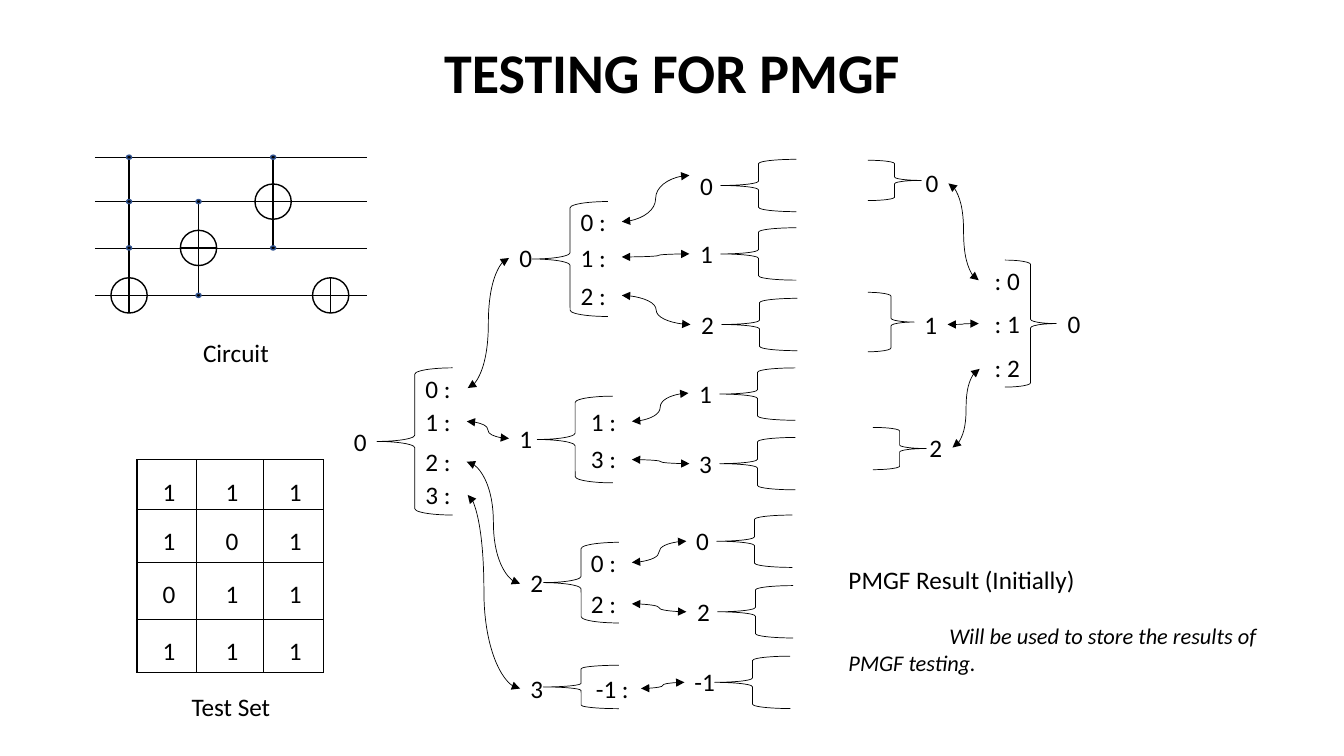
from pptx import Presentation
from pptx.util import Pt
from pptx.dml.color import RGBColor
from pptx.enum.shapes import MSO_SHAPE, MSO_CONNECTOR
from pptx.enum.text import PP_ALIGN
from pptx.oxml import parse_xml
from pptx.oxml.ns import nsdecls
from lxml.etree import SubElement

COLORS = {"ink": "000000", "paper": "FFFFFF", "dot": "325491"}
INK = RGBColor.from_string(COLORS["ink"])
PAPER = RGBColor.from_string(COLORS["paper"])
A = "{http://schemas.openxmlformats.org/drawingml/2006/main}"

prs = Presentation()
prs.slide_width, prs.slide_height = Pt(960), Pt(540)
slide = prs.slides.add_slide(prs.slide_layouts[6])
shapes = slide.shapes


def label(x, y, w, h, text, size=18, wrap=False, align=PP_ALIGN.CENTER):
    frame = shapes.add_textbox(Pt(x), Pt(y), Pt(w), Pt(h)).text_frame
    frame.word_wrap = wrap
    frame.text = text
    for para in frame.paragraphs:
        para.alignment = align
        for run in para.runs:
            run.font.name = "Calibri"
            run.font.size = Pt(size)
            run.font.color.rgb = INK
    return frame


def line(kind, x1, y1, x2, y2, width=0.5):
    link = shapes.add_connector(kind, Pt(x1), Pt(y1), Pt(x2), Pt(y2))
    link.line.color.rgb = INK
    link.line.width = Pt(width)
    SubElement(link._element.spPr, A + "effectLst")
    return link


title = label(183.6, 23.4, 592.6, 55.4, "TESTING FOR PMGF", 40, True)
title.paragraphs[0].runs[0].font.bold = True

LEFT, RIGHT = MSO_SHAPE.LEFT_BRACE, MSO_SHAPE.RIGHT_BRACE
nodes = [
    (LEFT, 269.3, 262.8, 54, 105.1, 245.5, 301, "0", 296.6,
     {"0 : ": 262.8, "1 : ": 286.6, "2 : ": 315.4, "3 : ": 339.1}),
    (LEFT, 380.2, 144, 54, 82.1, 363.6, 169.9, "0", 407.5,
     {"0 : ": 144, "1 : ": 169.2, "2 : ": 196.6}),
    (LEFT, 383.8, 283, 54, 61.9, 363.6, 298.8, "1", 414.7,
     {"1 : ": 286.6, "3 : ": 313.2}),
    (LEFT, 388.1, 387.4, 54, 57.6, 371.5, 401.8, "2", 414.7,
     {"0 : ": 387.4, "2 : ": 416.9}),
    (LEFT, 388.1, 475.2, 54, 31, 371.5, 477.4, "3", 415.4, {"-1 : ": 477.4}),
    (RIGHT, 717.8, 185.8, 36.7, 90.7, 755.3, 216.7, "0", 699.1,
     {" : 0": 185.8, " : 1": 216.7, " : 2": 248.4}),
    (RIGHT, 619.9, 114.5, 38.2, 28.8, 653.8, 115.9, "0", 0, {}),
    (RIGHT, 619.9, 208.8, 33.1, 42.5, 653, 217.4, "1", 0, {}),
    (RIGHT, 623.5, 305.3, 38.2, 30.2, 656.6, 305.3, "2", 0, {}),
]
leaves = [
    (514.8, 113.8, "0"), (514.8, 162.7, "1"), (515.5, 213.1, "2"),
    (514.1, 262.8, "1"), (514.1, 312.5, "3"), (511.9, 367.9, "0"),
    (512.6, 418.3, "2"), (510.5, 468.7, "-1"),
]
for x, y, text in leaves:
    nodes.append((LEFT, x, y, 54, 37.4, x - 22, y + 4, text, 0, {}))

for side, x, y, w, h, rx, ry, root, bx, kids in nodes:
    brace = shapes.add_shape(side, Pt(x), Pt(y), Pt(w), Pt(h))
    brace.shadow.inherit = False
    brace.fill.background()
    brace.line.color.rgb = INK
    brace.line.width = Pt(0.5)
    label(rx, ry, 29.5 if root == "-1" else 23.8, 28.8, root)
    for text, ky in kids.items():
        label(bx, ky, 48 if text == "-1 : " else 36.7, 28.8, text)

curves = [
    (334.1, 277.2, 363.6, 184.3, 50), (333.4, 301, 363.6, 313.2, 50),
    (333.4, 329.8, 371.5, 416.9, 50), (334.1, 353.5, 371.5, 491.8, 31),
    (444.2, 158.4, 492.5, 125.3, 50), (444.2, 183.6, 492.5, 181.4, 54.1),
    (444.2, 211, 493.2, 231.8, 50), (451.4, 301, 491.8, 280.8, 50),
    (451.4, 328.3, 492.5, 331.2, 50), (451.4, 401.8, 490.3, 386.6, 50),
    (451.4, 431.3, 490.3, 437, 50), (457.9, 491.8, 488.9, 487.4, 50),
    (677.5, 131, 699.1, 200.2, 50), (676.8, 231.8, 699.1, 231.1, 50),
    (680.4, 319.7, 699.8, 263.5, 50),
]
for x1, y1, x2, y2, bend in curves:
    link = line(MSO_CONNECTOR.CURVE, x1, y1, x2, y2)
    stroke = link.line._get_or_add_ln()
    for end in ("headEnd", "tailEnd"):
        SubElement(stroke, A + end, type="triangle")
    guides = link._element.spPr.prstGeom.get_or_add_avLst()
    SubElement(guides, A + "gd", name="adj1", fmla=f"val {round(bend * 1000)}")

note = label(599, 399.6, 352.1, 87.1,
             "PMGF Result (Initially)\nWill be used to store the results of \vPMGF testing.",
             18, True, PP_ALIGN.LEFT)
store = note.paragraphs[1]
store.space_before = Pt(19.5)
store._p.get_or_add_pPr().set("indent", str(Pt(72)))
for run in store.runs:
    run.font.size = Pt(16)
    run.font.italic = True

label(115.2, 237.6, 106.6, 25.9, "Circuit", wrap=True)
wires = [112.3, 144, 177.1, 211]
for y in wires:
    line(MSO_CONNECTOR.STRAIGHT, 67.7, y, 262.1, y)

gates = [(92.2, 3, [0, 1, 2]), (141.8, 2, [1, 3]), (195.1, 1, [0, 2]), (236.2, 3, [])]
for x, goal, taps in gates:
    parts = [(MSO_SHAPE.FLOWCHART_OR, goal, 25.9, 25.2)]
    parts += [(MSO_SHAPE.OVAL, tap, 3.6, 2.9) for tap in taps]
    if taps:
        ends = taps + [goal]
        line(MSO_CONNECTOR.STRAIGHT, x, wires[max(ends)], x, wires[min(ends)], 1)
    for kind, row, w, h in parts:
        part = shapes.add_shape(kind, Pt(x - w / 2), Pt(wires[row] - h / 2), Pt(w), Pt(h))
        part.shadow.inherit = False
        part.line.width = Pt(1)
        if kind == MSO_SHAPE.OVAL:
            part.fill.solid()
            part.fill.fore_color.rgb = INK
            part.line.color.rgb = RGBColor.from_string(COLORS["dot"])
        else:
            part.fill.background()
            part.line.color.rgb = INK

tests = ["111", "101", "011", "111"]
widths, heights = [42.5, 47.5, 43.2], [35.3, 38.2, 40.3, 38.1]
table = shapes.add_table(4, 3, Pt(97.9), Pt(328.3), Pt(sum(widths)), Pt(sum(heights))).table
table.first_row = table.horz_banding = False
for col, w in zip(table.columns, widths):
    col.width = Pt(w)
for r, bits in enumerate(tests):
    table.rows[r].height = Pt(heights[r])
    for c, bit in enumerate(bits):
        cell = table.cell(r, c)
        cell.text = bit
        cell.margin_top, cell.margin_bottom = Pt(12.5), Pt(0)
        cell.margin_left, cell.margin_right = Pt(9), Pt(6)
        para = cell.text_frame.paragraphs[0]
        para.alignment = PP_ALIGN.CENTER
        font = para.runs[0].font
        font.name, font.size, font.color.rgb = "Calibri", Pt(18), INK
        props = cell._tc.get_or_add_tcPr()
        for edge, outer in (("L", c == 0), ("R", c == 2), ("T", r == 0), ("B", r == 3)):
            props.append(parse_xml(
                f'<a:ln{edge} {nsdecls("a")} w="{Pt(1 if outer else 0.5)}"><a:solidFill>'
                f'<a:srgbClr val="{COLORS["ink"]}"/></a:solidFill></a:ln{edge}>'))
        cell.fill.solid()
        cell.fill.fore_color.rgb = PAPER
label(117.4, 490.3, 95, 24.5, "Test Set", wrap=True)

prs.save("out.pptx")
